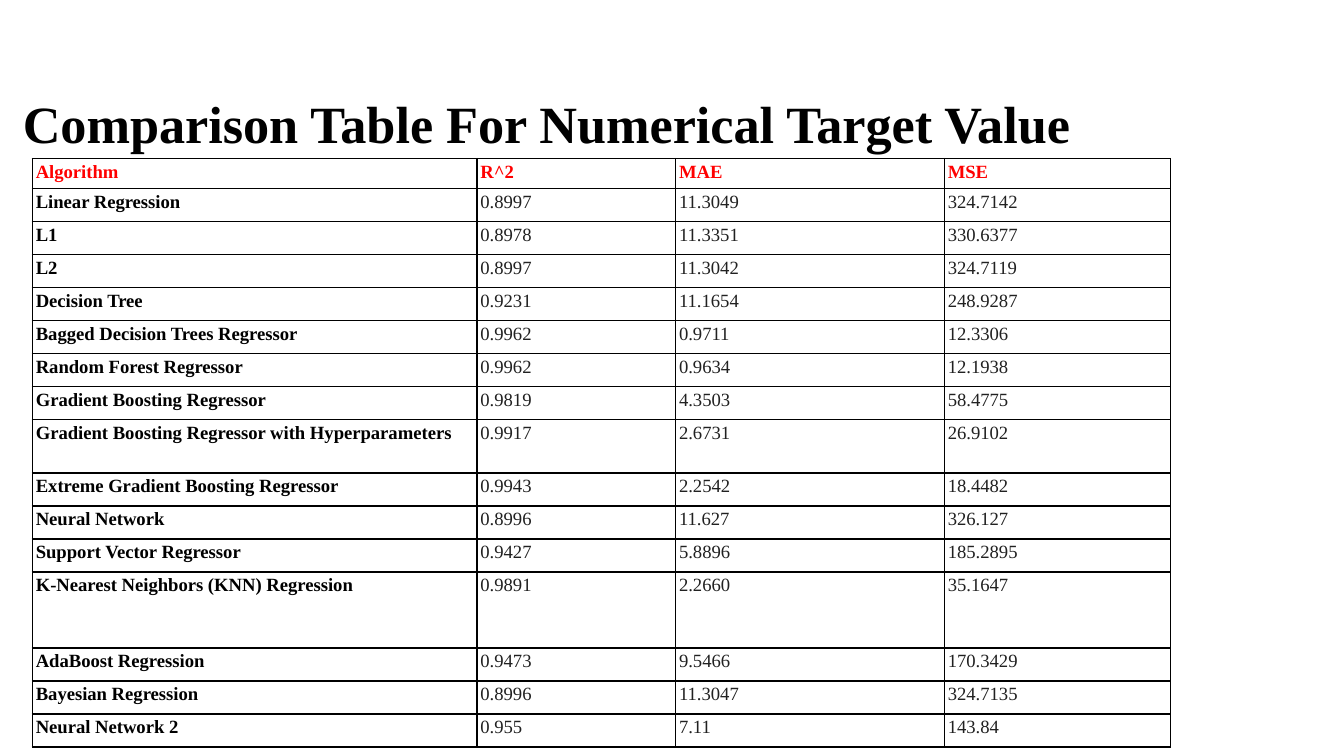
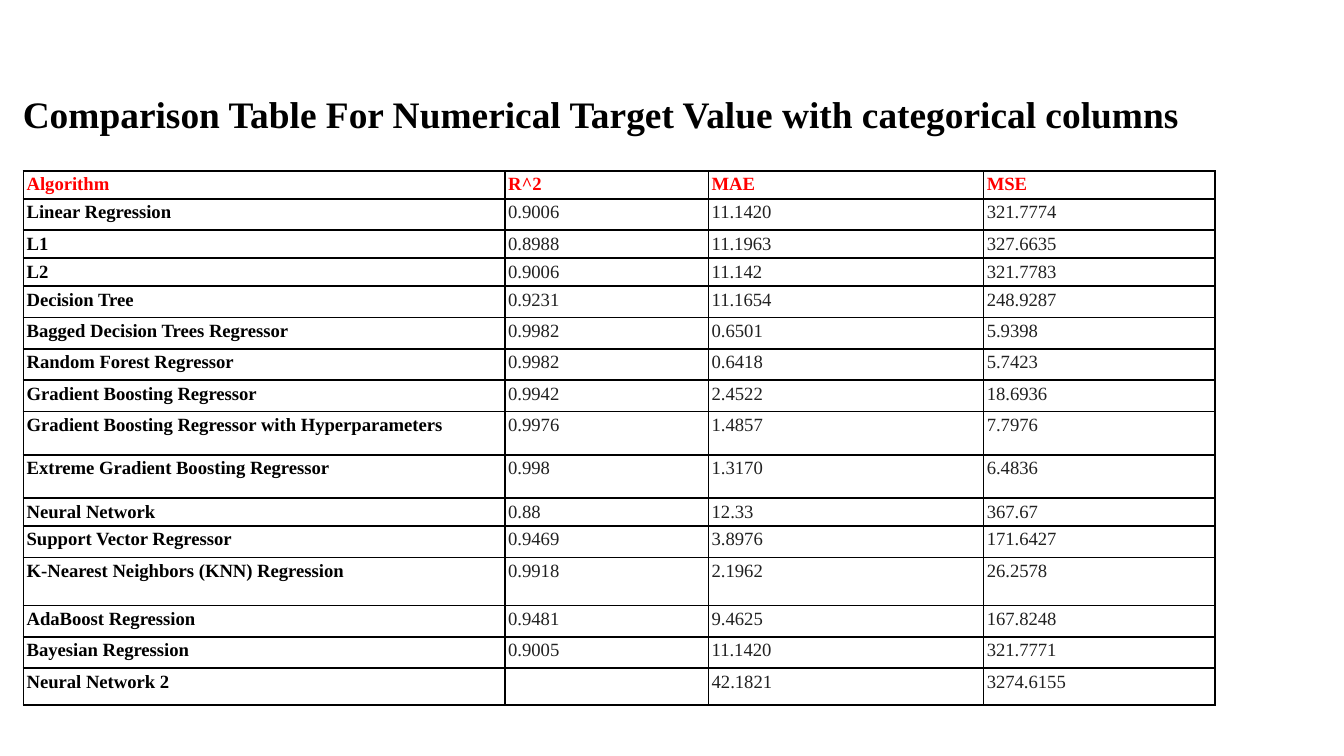
from dataclasses import dataclass
from typing import Any

from lxml import etree
from pptx import Presentation
from pptx.dml.color import RGBColor
from pptx.enum import text
from pptx.oxml import ns
from pptx.util import Pt

# Shared look
FONT = "Times New Roman"
BLACK = RGBColor(0x00, 0x00, 0x00)
RED = RGBColor(0xFF, 0x00, 0x00)
GREY = RGBColor(0x21, 0x21, 0x21)
CELL_SIZE = 10
CELL_INSET = Pt(1.8)
TITLE_INSET = Pt(7.2)
TITLE_BOX = (Pt(5), Pt(41.8), Pt(671), Pt(45.4))
TITLE_ONLY = 5

HEADER = ("Algorithm", "R^2", "MAE", "MSE")
ALGORITHMS = (
    "Linear Regression",
    "L1",
    "L2",
    "Decision Tree",
    "Bagged Decision Trees Regressor",
    "Random Forest Regressor",
    "Gradient Boosting Regressor",
    "Gradient Boosting Regressor with Hyperparameters",
    "Extreme Gradient Boosting Regressor",
    "Neural Network",
    "Support Vector Regressor",
    "K-Nearest Neighbors (KNN) Regression",
    "AdaBoost Regression",
    "Bayesian Regression",
    "Neural Network 2",
)


@dataclass(frozen=True)
class Comparison:
    """One slide: lengths in points, scores in the order of ALGORITHMS."""
    title: str
    title_size: float
    left: float
    top: float
    widths: tuple[float, ...]
    row_height: float
    special_heights: dict[int, float]
    scores: tuple[tuple[str, str, str], ...]


COMPARISONS = (
    Comparison(
        title="Comparison Table For Numerical Target Value",
        title_size=28,
        left=17.4,
        top=85,
        widths=(238.2, 106.4, 144, 121),
        row_height=17.7,
        special_heights={0: 16, 8: 28.5, 12: 40.7},
        scores=(
            ("0.8997", "11.3049", "324.7142"),
            ("0.8978", "11.3351", "330.6377"),
            ("0.8997", "11.3042", "324.7119"),
            ("0.9231", "11.1654", "248.9287"),
            ("0.9962", "0.9711", "12.3306"),
            ("0.9962", "0.9634", "12.1938"),
            ("0.9819", "4.3503", "58.4775"),
            ("0.9917", "2.6731", "26.9102"),
            ("0.9943", "2.2542", "18.4482"),
            ("0.8996", "11.627", "326.127"),
            ("0.9427", "5.8896", "185.2895"),
            ("0.9891", "2.2660", "35.1647"),
            ("0.9473", "9.5466", "170.3429"),
            ("0.8996", "11.3047", "324.7135"),
            ("0.955", "7.11", "143.84"),
        ),
    ),
    Comparison(
        title="Comparison Table For Numerical Target Value with categorical columns",
        title_size=20,
        left=12.5,
        top=91.6,
        widths=(258, 109, 147.4, 124),
        row_height=16.8,
        special_heights={0: 15, 2: 15, 3: 15, 8: 23.2, 9: 23.2,
                         10: 15, 12: 25.8, 15: 19.8},
        scores=(
            ("0.9006", "11.1420", "321.7774"),
            ("0.8988", "11.1963", "327.6635"),
            ("0.9006", "11.142", "321.7783"),
            ("0.9231", "11.1654", "248.9287"),
            ("0.9982", "0.6501", "5.9398"),
            ("0.9982", "0.6418", "5.7423"),
            ("0.9942", "2.4522", "18.6936"),
            ("0.9976", "1.4857", "7.7976"),
            ("0.998", "1.3170", "6.4836"),
            ("0.88", "12.33", "367.67"),
            ("0.9469", "3.8976", "171.6427"),
            ("0.9918", "2.1962", "26.2578"),
            ("0.9481", "9.4625", "167.8248"),
            ("0.9005", "11.1420", "321.7771"),
            ("", "42.1821", "3274.6155"),
        ),
    ),
)


def write(tf: Any, words: str, *, size: float, color: RGBColor = BLACK,
          bold: bool = False) -> None:
    p = tf.paragraphs[0]
    p.alignment = text.PP_ALIGN.LEFT
    if not words:
        # An empty cell still needs its text size to keep the row height
        p._p.get_or_add_endParaRPr().set("sz", str(size * 100))
        return
    r = p.add_run()
    r.text = words
    r.font.name = FONT
    r.font.size = Pt(size)
    r.font.bold = bold
    r.font.color.rgb = color


def set_insets(target: Any, inset: int) -> None:
    for side in ("left", "top", "right", "bottom"):
        setattr(target, f"margin_{side}", inset)


def add_borders(cell: Any) -> None:
    tc_pr = cell._tc.get_or_add_tcPr()
    for i, edge in enumerate(("lnL", "lnR", "lnT", "lnB")):
        ln = etree.Element(ns.qn(f"a:{edge}"), w=str(Pt(1)))
        fill = etree.SubElement(ln, ns.qn("a:solidFill"))
        etree.SubElement(fill, ns.qn("a:srgbClr"), val=str(BLACK))
        tc_pr.insert(i, ln)


def add_title(slide: Any, item: Comparison) -> None:
    sp = slide.shapes.title
    sp.left, sp.top, sp.width, sp.height = TITLE_BOX
    tf = sp.text_frame
    tf.word_wrap = True
    tf.auto_size = text.MSO_AUTO_SIZE.NONE
    tf.vertical_anchor = text.MSO_ANCHOR.TOP
    set_insets(tf, TITLE_INSET)
    write(tf, item.title, size=item.title_size, bold=True)


def add_scores(slide: Any, item: Comparison) -> None:
    rows = [HEADER, *((name, *s) for name, s in zip(ALGORITHMS, item.scores))]
    heights = [item.special_heights.get(i, item.row_height)
               for i in range(len(rows))]
    frame = slide.shapes.add_table(
        len(rows), len(HEADER), Pt(item.left), Pt(item.top),
        Pt(sum(item.widths)), Pt(sum(heights)))
    table = frame.table
    table.first_row = table.horz_banding = False
    for column, width in zip(table.columns, item.widths):
        column.width = Pt(width)
    for i, (row, height) in enumerate(zip(rows, heights)):
        table.rows[i].height = Pt(height)
        for j, words in enumerate(row):
            cell = table.cell(i, j)
            cell.fill.background()
            set_insets(cell, CELL_INSET)
            add_borders(cell)
            color = RED if i == 0 else BLACK if j == 0 else GREY
            write(cell.text_frame, words, size=CELL_SIZE, color=color,
                  bold=i == 0 or j == 0)


def main() -> None:
    prs = Presentation()
    prs.slide_width, prs.slide_height = Pt(720), Pt(405)
    for item in COMPARISONS:
        slide = prs.slides.add_slide(prs.slide_layouts[TITLE_ONLY])
        add_title(slide, item)
        add_scores(slide, item)
    prs.save("out.pptx")


if __name__ == "__main__":
    main()
